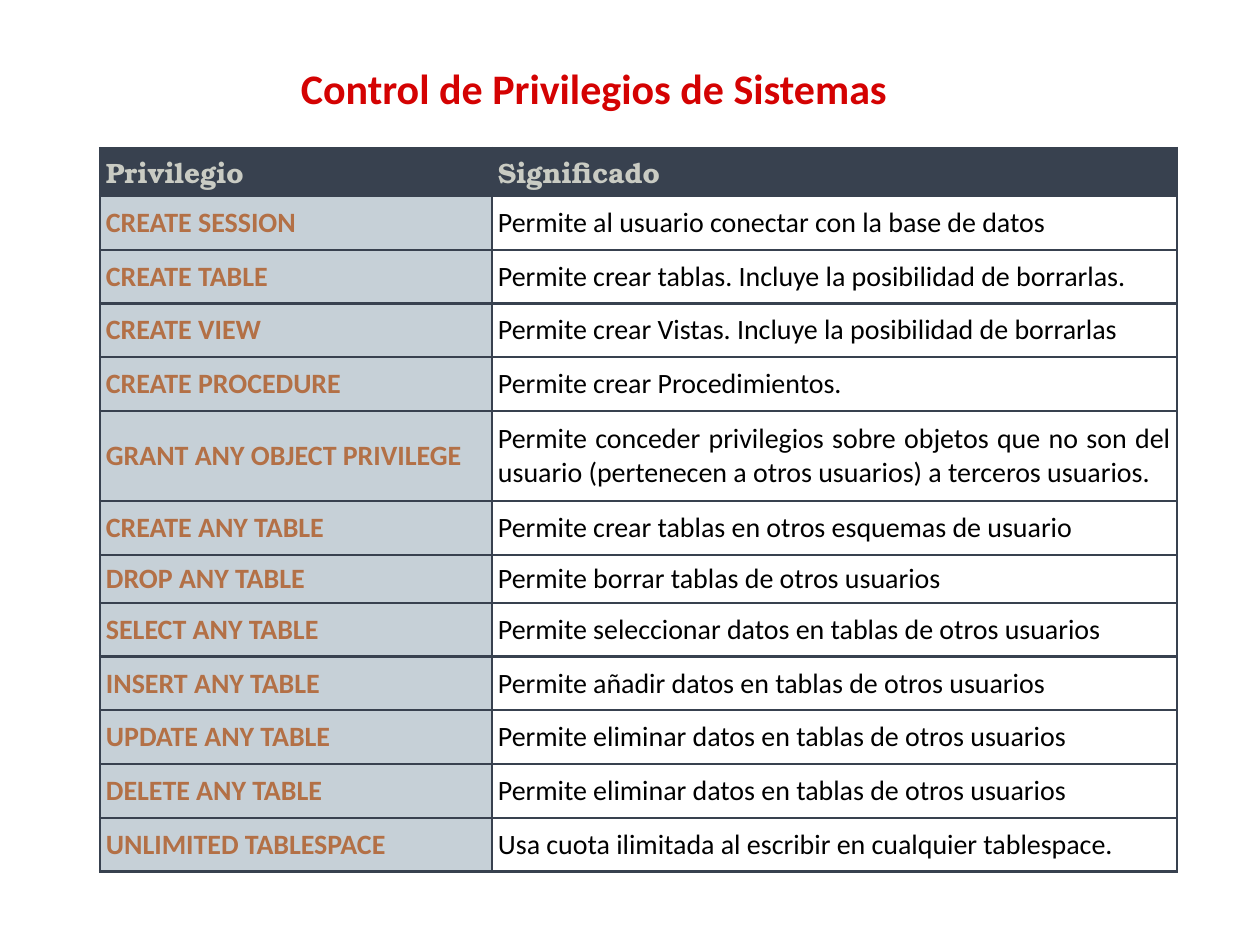
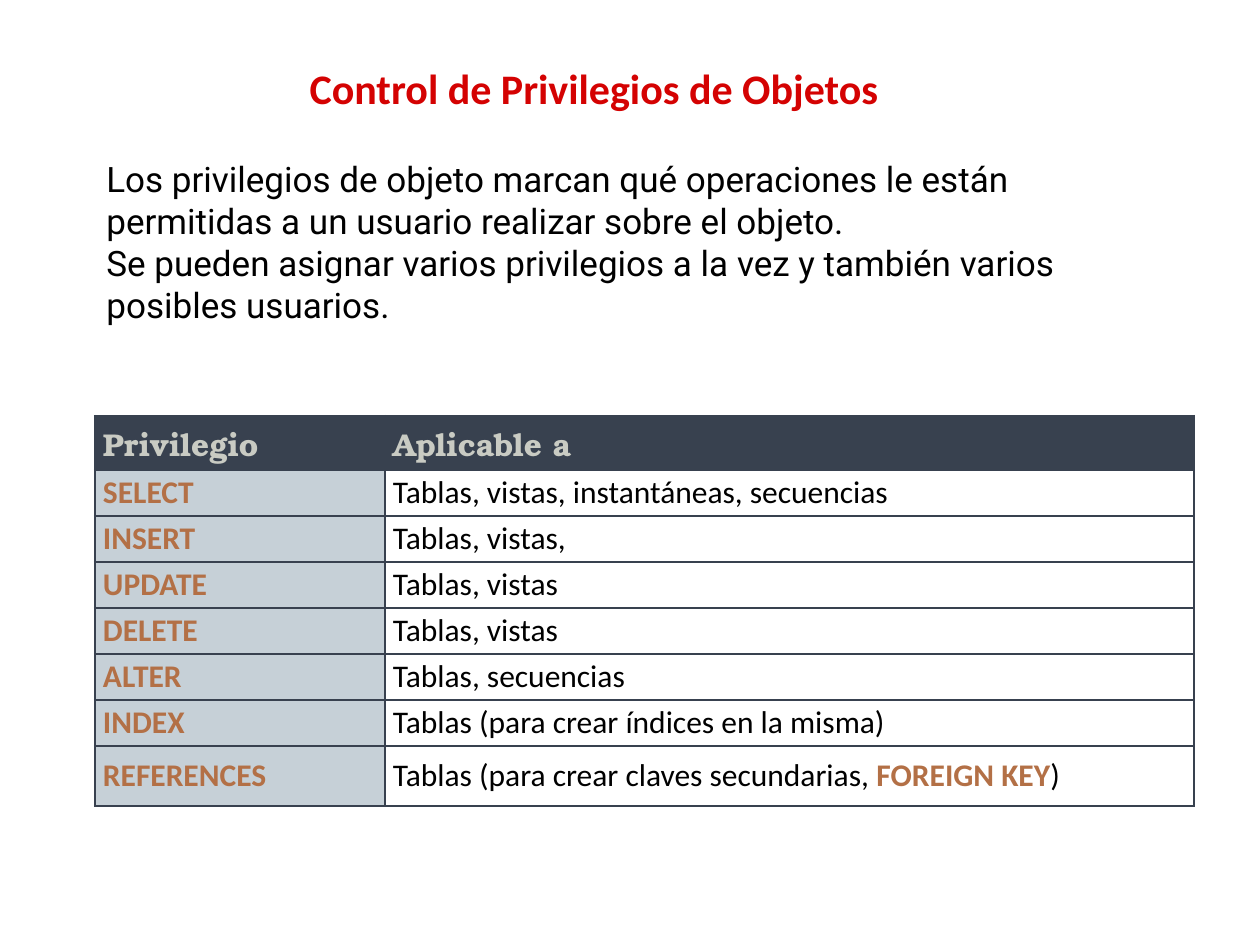
"""Build two slides listing system and object privileges in tables."""
from lxml.etree import SubElement
from pptx import Presentation
from pptx.dml.color import RGBColor
from pptx.enum.text import MSO_ANCHOR, PP_ALIGN
from pptx.oxml.ns import qn
from pptx.util import Emu, Pt

PX = 914400 // 126
SLIDE_SIZE = (1260, 945)
TITLE_AREA = (42, 24, 1104, 127)

RED = RGBColor(0xD4, 0x02, 0x02)
BLACK = RGBColor(0, 0, 0)
WHITE = RGBColor(0xFF, 0xFF, 0xFF)
SLATE = RGBColor(0x38, 0x41, 0x4F)
MIST = RGBColor(0xC6, 0xD0, 0xD7)
STONE = RGBColor(0xC9, 0xCB, 0xC3)
COPPER = RGBColor(0xB3, 0x70, 0x46)

HEADER_STYLE = dict(font="TeX Gyre Bonum", color=STONE, bold=True)
KEYWORD_STYLE = dict(font="Calibri", color=COPPER, bold=True)
MEANING_STYLE = dict(font="Calibri", color=BLACK)

SYSTEM_ROWS = [
    ("Privilegio", "Significado"),
    ("CREATE SESSION", "Permite al usuario conectar con la base de datos"),
    ("CREATE TABLE", "Permite crear tablas. Incluye la posibilidad de borrarlas."),
    ("CREATE VIEW", "Permite crear Vistas. Incluye la posibilidad de borrarlas"),
    ("CREATE PROCEDURE", "Permite crear Procedimientos."),
    ("GRANT ANY OBJECT PRIVILEGE",
     "Permite conceder privilegios sobre objetos que no son del usuario "
     "(pertenecen a otros usuarios) a terceros usuarios."),
    ("CREATE ANY TABLE", "Permite crear tablas en otros esquemas de usuario"),
    ("DROP ANY TABLE", "Permite borrar tablas de otros usuarios"),
    ("SELECT ANY TABLE", "Permite seleccionar datos en tablas de otros usuarios"),
    ("INSERT ANY TABLE", "Permite añadir datos en tablas de otros usuarios"),
    ("UPDATE ANY TABLE", "Permite eliminar datos en tablas de otros usuarios"),
    ("DELETE ANY TABLE", "Permite eliminar datos en tablas de otros usuarios"),
    ("UNLIMITED TABLESPACE", "Usa cuota ilimitada al escribir en cualquier tablespace."),
]
OBJECT_ROWS = [
    ("Privilegio", "Aplicable a"),
    ("SELECT", "Tablas, vistas, instantáneas, secuencias"),
    ("INSERT", "Tablas, vistas,"),
    ("UPDATE", "Tablas, vistas"),
    ("DELETE", "Tablas, vistas"),
    ("ALTER", "Tablas, secuencias"),
    ("INDEX", "Tablas (para crear índices en la misma)"),
    ("REFERENCES", [
        ("Tablas (para crear claves secundarias, ", MEANING_STYLE),
        ("FOREIGN KEY", KEYWORD_STYLE),
        (")", MEANING_STYLE),
    ]),
]
OBJECT_INTRO = [
    "Los privilegios de objeto marcan qué operaciones le están permitidas "
    "a un usuario realizar sobre el objeto.",
    "Se pueden asignar varios privilegios a la vez y también varios posibles usuarios.",
]

SLIDES = [
    dict(title="Control de Privilegios de Sistemas",
         table=dict(rows=SYSTEM_ROWS, left=100, top=148, columns=(392, 685), height=724,
                    fixed_heights={0: 48, 5: 90, 7: 48}, size=16, margins=(6, 3))),
    dict(title="Control de Privilegios de Objetos",
         intro=OBJECT_INTRO,
         intro_area=(94, 151, 1099, 183),
         table=dict(rows=OBJECT_ROWS, left=95, top=416, columns=(290, 809), height=390,
                    fixed_heights={0: 54, 7: 60}, size=18, margins=(8, 4))),
]


def px(length):
    return Emu(round(length * PX))


def write(para, text, size, font, color, bold=False, align=None):
    if align is not None:
        para.alignment = align
    span = para.add_run()
    span.text = text
    span.font.size = Pt(size)
    span.font.name = font
    span.font.bold = bold
    span.font.color.rgb = color


def add_text(slide, area, paragraphs, anchor=MSO_ANCHOR.TOP, **style):
    frame = slide.shapes.add_textbox(*map(px, area)).text_frame
    frame.word_wrap = True
    frame.vertical_anchor = anchor
    for index, text in enumerate(paragraphs):
        para = frame.add_paragraph() if index else frame.paragraphs[0]
        write(para, text, **style)


def add_borders(cell):
    properties = cell._tc.get_or_add_tcPr()
    for position, side in enumerate(("lnL", "lnR", "lnT", "lnB")):
        line = SubElement(properties, qn(f"a:{side}"), w=str(Pt(1.5)))
        fill = SubElement(line, qn("a:solidFill"))
        SubElement(fill, qn("a:srgbClr"), val=str(SLATE))
        properties.insert(position, line)


def fill_cell(cell, content, size, margins, fill, style):
    cell.margin_left = cell.margin_right = px(margins[0])
    cell.margin_top = cell.margin_bottom = px(margins[1])
    cell.vertical_anchor = MSO_ANCHOR.MIDDLE
    cell.fill.solid()
    cell.fill.fore_color.rgb = fill
    add_borders(cell)
    spans = [(content, style)] if isinstance(content, str) else content
    for text, span_style in spans:
        write(cell.text_frame.paragraphs[0], text, size=size,
              align=PP_ALIGN.JUSTIFY, **span_style)


def add_privilege_table(slide, rows, left, top, columns, height, fixed_heights, size, margins):
    frame = slide.shapes.add_table(len(rows), len(columns), px(left), px(top),
                                   px(sum(columns)), px(height))
    table = frame.table
    table.first_row = table.horz_banding = False
    for column, width in zip(table.columns, columns):
        column.width = px(width)
    shared = (height - sum(fixed_heights.values())) / (len(rows) - len(fixed_heights))
    body_looks = ((MIST, KEYWORD_STYLE), (WHITE, MEANING_STYLE))
    for row_index, contents in enumerate(rows):
        table.rows[row_index].height = px(fixed_heights.get(row_index, shared))
        for column_index, content in enumerate(contents):
            fill, style = body_looks[column_index] if row_index else (SLATE, HEADER_STYLE)
            fill_cell(table.cell(row_index, column_index), content, size, margins, fill, style)


def main():
    deck = Presentation()
    deck.slide_width, deck.slide_height = map(px, SLIDE_SIZE)
    for page in SLIDES:
        slide = deck.slides.add_slide(deck.slide_layouts[6])
        add_text(slide, TITLE_AREA, [page["title"]], anchor=MSO_ANCHOR.MIDDLE, size=24,
                 font="Calibri", color=RED, bold=True, align=PP_ALIGN.CENTER)
        add_privilege_table(slide, **page["table"])
        if "intro" in page:
            add_text(slide, page["intro_area"], page["intro"], size=20,
                     font="Roboto", color=BLACK)
    deck.save("out.pptx")


if __name__ == "__main__":
    main()
